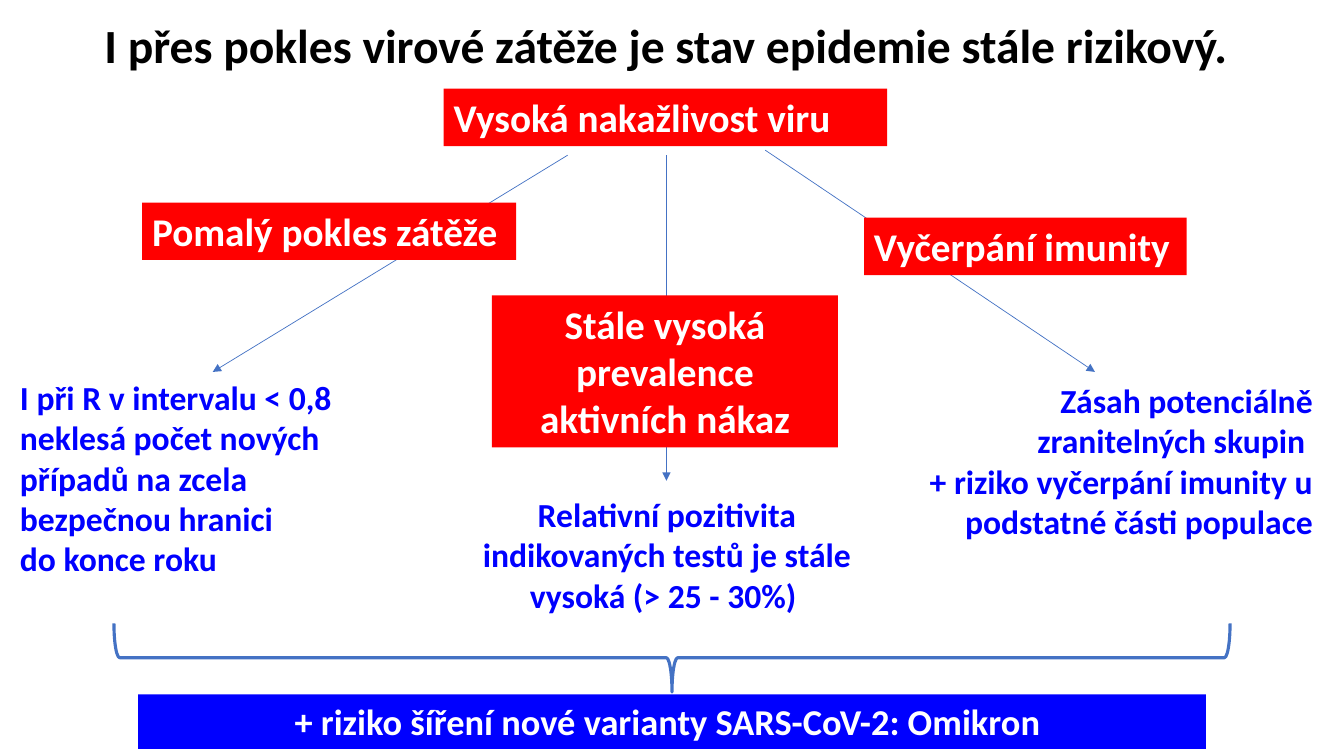
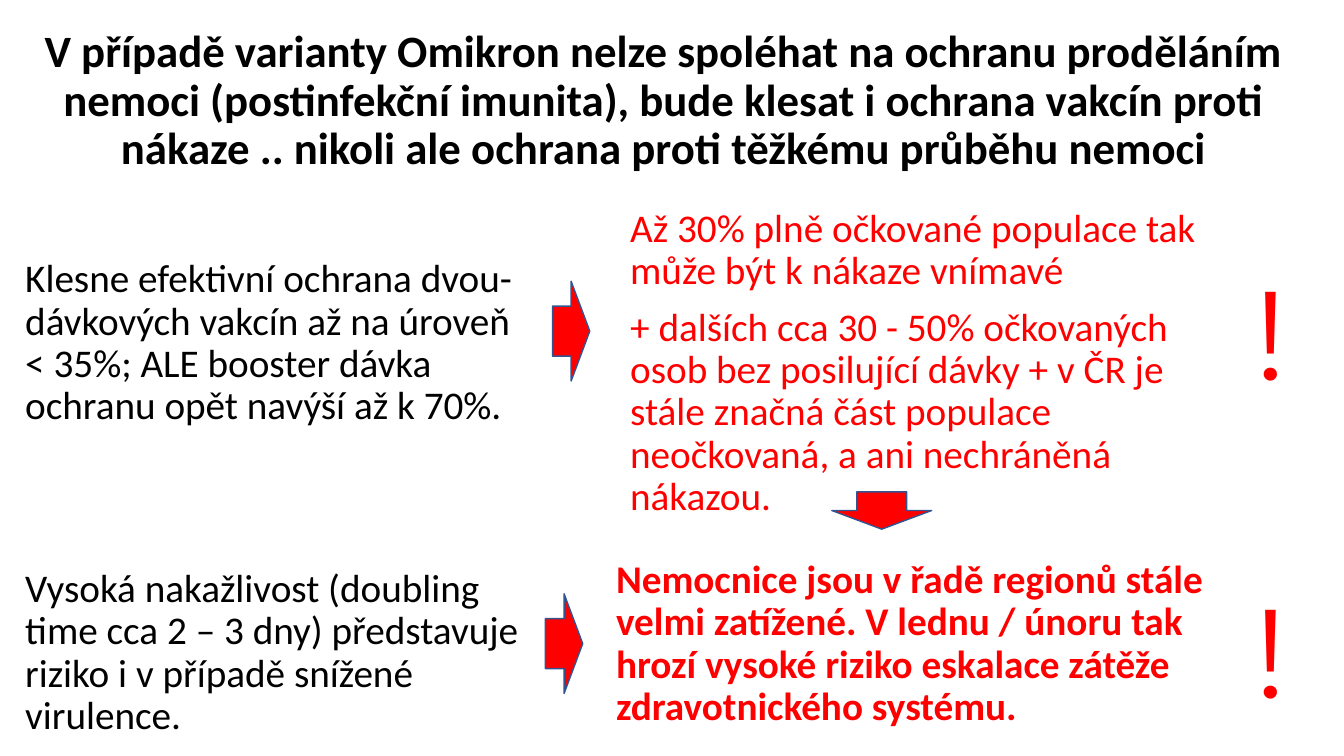
from pptx import Presentation
from pptx.dml.color import RGBColor
from pptx.enum.shapes import MSO_CONNECTOR, MSO_SHAPE
from pptx.enum.text import MSO_ANCHOR, MSO_AUTO_SIZE, PP_ALIGN
from pptx.oxml.ns import qn
from pptx.util import Inches, Pt
from lxml.etree import SubElement

COLORS = {
    "black": "000000",
    "white": "FFFFFF",
    "red": "FF0000",
    "blue": "0000FF",
    "line": "4472C4",
    "edge": "325491",
}
FONT = "Calibri"
MARK_FONT = "Montserrat"
LEFT, CENTER, RIGHT = PP_ALIGN.LEFT, PP_ALIGN.CENTER, PP_ALIGN.RIGHT


def rgb(name):
    return RGBColor.from_string(COLORS[name])


def place(sp, box):
    sp.left, sp.top, sp.width, sp.height = [Inches(v) for v in box]


def write(sp, paragraphs, size, color, bold=True, align=LEFT, font=FONT,
          spacing=1.0, before=0):
    tf = sp.text_frame
    tf.word_wrap = True
    tf.auto_size = MSO_AUTO_SIZE.NONE
    tf.vertical_anchor = MSO_ANCHOR.TOP
    tf.margin_left = tf.margin_right = Inches(0.1)
    tf.margin_top = tf.margin_bottom = Inches(0.05)
    for i, text in enumerate(paragraphs):
        p = tf.add_paragraph() if i else tf.paragraphs[0]
        p.alignment = align
        p.line_spacing = spacing
        p.space_before = Pt(before if i else 0)
        p.space_after = Pt(0)
        if sp.is_placeholder:
            pPr = p._p.get_or_add_pPr()
            pPr.set("marL", "0")
            pPr.set("indent", "0")
            SubElement(pPr, qn("a:buNone"))
        r = p.add_run()
        r.text = text
        r.font.name = font
        r.font.size = Pt(size)
        r.font.bold = bold
        r.font.color.rgb = rgb(color)


def add_title(s, box, text, size):
    sp = s.shapes.title
    place(sp, box)
    write(sp, [text], size, "black", align=CENTER, spacing=0.9)


def add_text(s, box, paragraphs, size, color, **style):
    sp = s.shapes.add_textbox(*[Inches(v) for v in box])
    write(sp, paragraphs, size, color, **style)


def add_shape(s, kind, box, fill=None, line=None, width=1, rotation=0):
    sp = s.shapes.add_shape(kind, *[Inches(v) for v in box])
    sp.shadow.inherit = False
    sp.rotation = rotation
    if fill:
        sp.fill.solid()
        sp.fill.fore_color.rgb = rgb(fill)
    else:
        sp.fill.background()
    if line:
        sp.line.color.rgb = rgb(line)
        sp.line.width = Pt(width)
    else:
        sp.line.fill.background()
    return sp


def add_label(s, box, text, size=28, fill="red", align=LEFT):
    sp = add_shape(s, MSO_SHAPE.RECTANGLE, box, fill)
    write(sp, [text], size, "white", align=align)


def add_arrow_line(s, start, end):
    cn = s.shapes.add_connector(
        MSO_CONNECTOR.STRAIGHT, *[Inches(v) for v in (*start, *end)])
    cn.line.color.rgb = rgb("line")
    cn.line.width = Pt(0.5)
    SubElement(cn.line._get_or_add_ln(), qn("a:tailEnd"), type="triangle")
    SubElement(cn._element.spPr, qn("a:effectLst"))


def add_branch(s, start, end, label_box, label, text_box, paragraphs,
               label_align=LEFT, text_align=LEFT):
    add_arrow_line(s, start, end)
    add_label(s, label_box, label, align=label_align)
    add_text(s, text_box, paragraphs, 24, "blue", align=text_align)


def add_summary(s, box, text):
    x, y, w, h = box
    span, depth = 11.07, 0.68
    cx, cy = x + w / 2, y - 0.365
    add_shape(s, MSO_SHAPE.RIGHT_BRACE,
              (cx - depth / 2, cy - span / 2, depth, span),
              line="line", width=2.25, rotation=90)
    add_label(s, box, text, size=26, fill="blue", align=CENTER)


def add_block_arrow(s, left, top, rotation=0):
    add_shape(s, MSO_SHAPE.RIGHT_ARROW, (left, top, 0.37, 0.99),
              "red", "edge", rotation=rotation)


def add_body(sp, box, paragraphs, color, bold=False):
    place(sp, box)
    write(sp, paragraphs, 28, color, bold=bold, spacing=0.9, before=10)


def add_consequence(s, holders, cause_top, cause, result_box, result,
                    arrow, mark_top, bold=False):
    add_body(holders[0], (0.15, cause_top, 5.27, 1.38), [cause], "black")
    add_block_arrow(s, *arrow)
    add_body(holders[1], result_box, result, "red", bold)
    add_text(s, (12.34, mark_top, 0.66, 1.62), ["!"], 90, "red",
             bold=False, font=MARK_FONT)


def build_risks(prs):
    s = prs.slides.add_slide(prs.slide_layouts.get_by_name("Title Only"))
    add_title(s, (0, 0.17, 13.21, 0.66),
              "I přes pokles virové zátěže je stav epidemie stále rizikový.", 34)
    add_label(s, (4.4, 0.88, 4.4, 0.57), "Vysoká nakažlivost viru")
    add_branch(s, (5.63, 1.54), (2.11, 3.69),
               (1.41, 2.01, 3.71, 0.57), "Pomalý pokles zátěže",
               (0.1, 3.69, 3.8, 2.12),
               ["I při R v intervalu < 0,8 neklesá počet nových případů "
                "na zcela bezpečnou hranici", "do konce roku"])
    add_branch(s, (6.61, 1.54), (6.61, 4.77),
               (4.88, 2.93, 3.43, 1.51),
               "Stále vysoká prevalence aktivních nákaz",
               (4.41, 4.85, 4.41, 1.31),
               ["Relativní pozitivita indikovaných testů je stále vysoká "
                "(> 25 - 30%) "],
               CENTER, CENTER)
    add_branch(s, (7.59, 1.49), (10.86, 3.69),
               (8.57, 2.16, 3.2, 0.57), "Vyčerpání imunity",
               (9.08, 3.72, 4.04, 1.72),
               ["Zásah potenciálně zranitelných skupin ",
                "+ riziko vyčerpání imunity u podstatné části populace"],
               text_align=RIGHT)
    add_summary(s, (1.37, 6.89, 10.59, 0.54),
                "+ riziko šíření nové varianty SARS-CoV-2: Omikron ")


def build_omicron(prs):
    s = prs.slides.add_slide(prs.slide_layouts.get_by_name("Comparison"))
    add_title(s, (0, 0.24, 13.17, 1.18),
              "V případě varianty Omikron nelze spoléhat na ochranu proděláním "
              "nemoci (postinfekční imunita), bude klesat i ochrana vakcín proti "
              "nákaze .. nikoli ale ochrana proti těžkému průběhu nemoci", 32)
    holders = [sp for sp in s.placeholders if sp.placeholder_format.idx in range(1, 5)]
    add_consequence(
        s, holders[:2], 2.52,
        "Klesne efektivní ochrana dvou-dávkových vakcín až na úroveň < 35%; "
        "ALE booster dávka ochranu opět navýší až k 70%.",
        (6.15, 2.02, 6.18, 2.97),
        ["Až 30% plně očkované populace tak může být k nákaze vnímavé",
         "+ dalších cca 30 - 50% očkovaných osob bez posilující dávky + v ČR je "
         "stále značná část populace neočkovaná, a ani nechráněná nákazou."],
        (5.48, 2.79), 2.48)
    add_consequence(
        s, holders[2:], 5.59,
        "Vysoká nakažlivost (doubling time cca 2 – 3 dny) představuje riziko "
        "i v případě snížené virulence.",
        (6.01, 5.5, 6.33, 1.38),
        ["Nemocnice jsou v řadě regionů stále velmi zatížené. V lednu / únoru "
         "tak hrozí vysoké riziko eskalace zátěže zdravotnického systému."],
        (5.41, 5.89), 5.63, bold=True)
    add_block_arrow(s, 8.56, 4.57, rotation=90)


def main():
    prs = Presentation()
    prs.slide_width, prs.slide_height = Inches(13.33), Inches(7.5)
    build_risks(prs)
    build_omicron(prs)
    prs.save("out.pptx")


if __name__ == "__main__":
    main()
